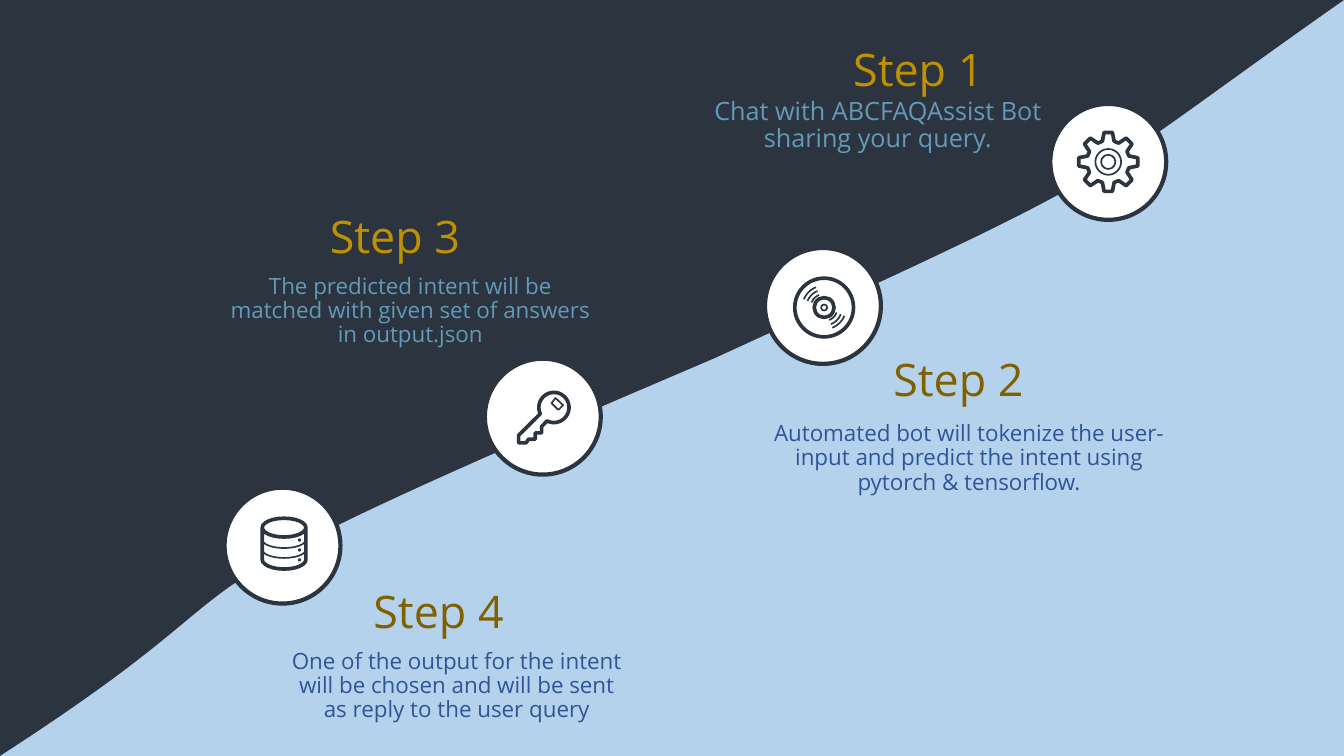
import math

import lxml.etree
import pptx
import pptx.dml.color
import pptx.enum.shapes
import pptx.enum.text
import pptx.oxml.ns
import pptx.util
from pptx.util import Cm

INK = pptx.dml.color.RGBColor(0x2C, 0x34, 0x40)
SKY = pptx.dml.color.RGBColor(0xB5, 0xD2, 0xEC)
WHITE = pptx.dml.color.RGBColor(0xFF, 0xFF, 0xFF)
GOLD = pptx.dml.color.RGBColor(0xBF, 0x90, 0x00)
BRONZE = pptx.dml.color.RGBColor(0x80, 0x60, 0x00)
STEEL = pptx.dml.color.RGBColor(0x62, 0x9A, 0xB8)
NAVY = pptx.dml.color.RGBColor(0x2F, 0x55, 0x97)

FONT = "Open Sans"
SHAPE = pptx.enum.shapes.MSO_SHAPE
BADGE_SIZE = 2.92
THIN, THICK = 1.2, 2.6

# Heading position, heading colour, body (left, top, width), body colour, body size, text
STEPS = [
    ("Step 1", (17.25, 0.99), GOLD, (17.25, 2.36, 9.75), STEEL, 18,
     "Chat with ABCFAQAssist Bot\nsharing your query."),
    ("Step 2", (18.26, 8.81), BRONZE, (19.2, 10.52, 10.44), NAVY, 16,
     "Automated bot will tokenize the user-input and predict the intent using "
     "pytorch & tensorflow."),
    ("Step 3", (4.06, 5.21), GOLD, (5.54, 6.81, 9.6), STEEL, 16,
     "The predicted intent will be matched with given set of answers in output.json"),
    ("Step 4", (5.16, 14.66), BRONZE, (7.09, 16.26, 8.84), NAVY, 16,
     "One of the output for the intent will be chosen and will be sent as reply "
     "to the user query"),
]


def arc_points(x, y, rx, ry, start, end, count=24):
    """Points on an ellipse between two angles in degrees, clockwise from the right."""
    angles = [math.radians(start + (end - start) * i / count) for i in range(count + 1)]
    return [(x + rx * math.cos(a), y + ry * math.sin(a)) for a in angles]


def bezier_points(p0, p1, p2, p3, count=40):
    points = []
    for i in range(count + 1):
        t = i / count
        weights = ((1 - t) ** 3, 3 * t * (1 - t) ** 2, 3 * t * t * (1 - t), t ** 3)
        points.append(tuple(sum(w * p[axis] for w, p in zip(weights, (p0, p1, p2, p3)))
                            for axis in (0, 1)))
    return points


def add_outline(shapes, points, closed=True):
    corners = [(Cm(x), Cm(y)) for x, y in points]
    builder = shapes.build_freeform(*corners[0])
    builder.add_line_segments(corners[1:], close=closed)
    outline = builder.convert_to_shape()
    outline.shadow.inherit = False
    return outline


def stroke(shape, width):
    """Leave the shape hollow, with a dark line and round joins."""
    shape.fill.background()
    shape.line.color.rgb = INK
    shape.line.width = pptx.util.Pt(width)
    line = shape.element.spPr.find(pptx.oxml.ns.qn("a:ln"))
    lxml.etree.SubElement(line, pptx.oxml.ns.qn("a:round"))


def fill(shape, color):
    shape.fill.solid()
    shape.fill.fore_color.rgb = color
    shape.line.fill.background()


def add_circle(shapes, x, y, diameter):
    circle = shapes.add_shape(SHAPE.OVAL, Cm(x - diameter / 2), Cm(y - diameter / 2),
                              Cm(diameter), Cm(diameter))
    circle.shadow.inherit = False
    return circle


def draw_gear(shapes, x, y):
    rim = []
    for tooth in range(0, 360, 45):
        for offset, radius in ((-16, 0.54), (-8, 0.75), (8, 0.75), (16, 0.54)):
            angle = math.radians(tooth + offset)
            rim.append((x + radius * math.cos(angle), y + radius * math.sin(angle)))
    stroke(add_outline(shapes, rim), THICK)
    for diameter in (0.65, 0.36):
        stroke(add_circle(shapes, x, y, diameter), THIN)


def draw_disc(shapes, x, y):
    x, y = x + 0.03, y + 0.04
    for diameter, width in ((1.48, THICK), (0.5, THICK), (0.15, THIN)):
        stroke(add_circle(shapes, x, y, diameter), width)
    for radius in (0.34, 0.45, 0.55):
        for start in (22, 202):
            groove = arc_points(x, y, radius, radius, start, start + 46)
            stroke(add_outline(shapes, groove, closed=False), THIN)


def draw_key(shapes, x, y):
    teeth = [(-0.61, 0.47), (-0.61, 0.66), (-0.42, 0.66), (-0.36, 0.57), (-0.19, 0.57),
             (-0.19, 0.41), (-0.03, 0.41), (-0.03, 0.25)]
    hole = [(0.22, -0.34), (0.32, -0.47), (0.51, -0.29), (0.39, -0.17)]
    head = arc_points(0.28, -0.23, 0.38, 0.38, 117, -205, 40)
    for points, width in ((teeth + head, THICK), (hole, THIN)):
        stroke(add_outline(shapes, [(x + dx, y + dy) for dx, dy in points]), width)


def draw_database(shapes, x, y):
    drum = shapes.add_shape(SHAPE.CAN, Cm(x - 0.51), Cm(y - 0.69), Cm(1.1), Cm(1.28))
    drum.adjustments[0] = 0.43
    drum.shadow.inherit = False
    stroke(drum, THICK)
    for level in range(3):
        shelf = y - 0.14 + 0.25 * level
        fill(add_circle(shapes, x + 0.43, shelf, 0.08), INK)
        if level < 2:
            edge = arc_points(x + 0.04, shelf, 0.54, 0.2, 0, 180)
            stroke(add_outline(shapes, edge, closed=False), THIN)


def add_badge(slide, x, y, draw_icon):
    badge = slide.shapes.add_group_shape().shapes
    disc = add_circle(badge, x, y, BADGE_SIZE)
    fill(disc, WHITE)
    disc.line.color.rgb = INK
    disc.line.width = pptx.util.Pt(3)
    draw_icon(badge, x, y)


def add_slope(slide):
    """Dark area above the diagonal curve, kept behind everything else."""
    upper = bezier_points((33.87, 0), (26.77, 4.98), (29.06, 3.96), (17.98, 9.04))
    lower = bezier_points((17.98, 9.04), (1.78, 15.93), (8.18, 13.77), (0, 19.05))
    slope = add_outline(slide.shapes, [(0, 0)] + upper + lower[1:])
    fill(slope, INK)
    slope.element.getparent().insert(2, slope.element)


def write(box, text, size, color, anchor, space_before=0):
    frame = box.text_frame
    frame.word_wrap = True
    frame.auto_size = pptx.enum.text.MSO_AUTO_SIZE.NONE
    frame.vertical_anchor = anchor
    paragraph = frame.paragraphs[0]
    paragraph.text = text
    paragraph.alignment = pptx.enum.text.PP_ALIGN.CENTER
    paragraph.line_spacing = 0.9
    paragraph.space_before = pptx.util.Pt(space_before)
    paragraph.font.name = FONT
    paragraph.font.size = pptx.util.Pt(size)
    paragraph.font.color.rgb = color


def add_step(slide, heading, place, heading_color, body_place, body_color, size, text,
             title=None):
    """Heading and description; the heading goes into the title placeholder if given."""
    label = title or slide.shapes.add_textbox(0, 0, 0, 0)
    label.left, label.top = (Cm(value) for value in place)
    label.width, label.height = Cm(11.79), Cm(1.63)
    write(label, heading, 32, heading_color, pptx.enum.text.MSO_ANCHOR.MIDDLE)
    body = slide.shapes.add_textbox(*(Cm(value) for value in body_place), Cm(1.57))
    write(body, text, size, body_color, pptx.enum.text.MSO_ANCHOR.TOP, 10)


def main():
    deck = pptx.Presentation()
    deck.slide_width, deck.slide_height = Cm(33.87), Cm(19.05)
    slide = deck.slides.add_slide(deck.slide_layouts[5])
    slide.background.fill.solid()
    slide.background.fill.fore_color.rgb = SKY

    add_slope(slide)
    add_step(slide, *STEPS[0], title=slide.shapes.title)
    for step in STEPS[1:]:
        add_step(slide, *step)
    add_badge(slide, 27.93, 4.08, draw_gear)
    add_badge(slide, 20.74, 7.71, draw_disc)
    add_badge(slide, 13.68, 10.5, draw_key)
    add_badge(slide, 7.12, 13.75, draw_database)
    deck.save("out.pptx")


if __name__ == "__main__":
    main()
